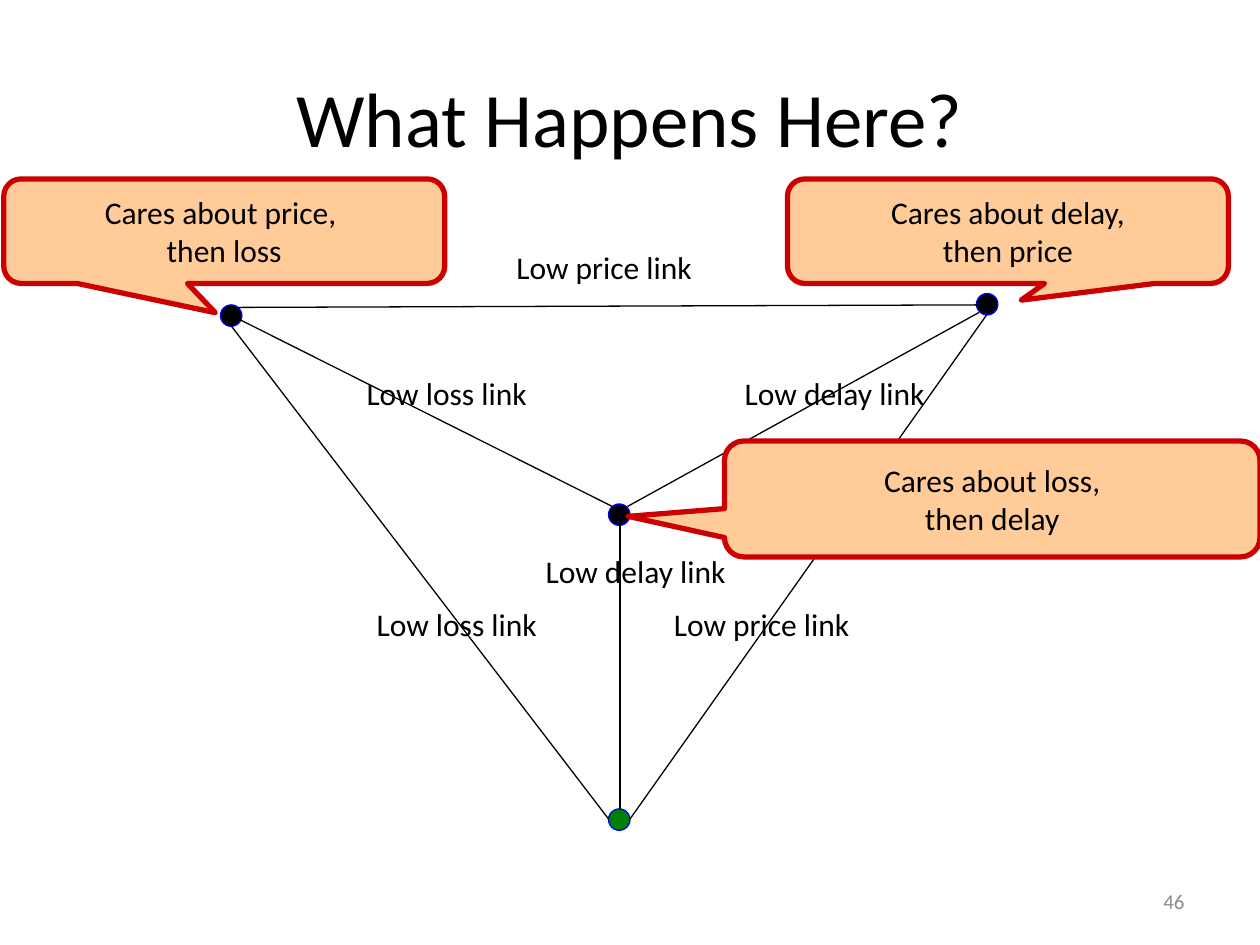
import pptx
import pptx.dml.color
import pptx.enum.shapes
import pptx.enum.text
import pptx.oxml.ns
import pptx.util
from lxml import etree
from pptx.util import Inches

FONT = "Calibri"
NODE_SIZE = 0.17
ALIGN = pptx.enum.text.PP_ALIGN
ANCHOR = pptx.enum.text.MSO_ANCHOR
SHAPE = pptx.enum.shapes.MSO_SHAPE

NODES = [
    (1.75, 2.42, "000000"),
    (4.83, 4, "000000"),
    (7.75, 2.33, "000000"),
    (4.83, 6.42, "008000"),
]
LINKS = [
    (1.83, 2.5, 4.86, 4.02),
    (1.89, 2.44, 7.77, 2.42),
    (4.98, 4.02, 7.77, 2.48),
    (4.92, 4.08, 4.92, 6.42),
    (1.83, 2.58, 4.83, 6.5),
    (7.83, 2.5, 5, 6.5),
]
LINK_LABELS = [
    ("Low price link", 3.17, 1.92),
    ("Low loss link", 2, 4.75),
    ("Low delay link", 5, 2.92),
    ("Low loss link", 1.92, 2.92),
    ("Low delay link", 3.42, 4.33),
    ("Low price link", 4.42, 4.75),
]
CALLOUTS = [
    ("Cares about price, \nthen loss", (0.03, 1.42, 3.5, 0.83), (-0.02, 0.78)),
    ("Cares about delay,\nthen price", (6.25, 1.42, 3.5, 0.83), (0.03, 0.66)),
    ("Cares about loss,\nthen delay", (5.75, 3.5, 4.25, 0.92), (-0.68, 0.15)),
]


def color(value):
    """Return the colour for a hex string."""
    return pptx.dml.color.RGBColor.from_string(value)


def set_text(text_frame, text, size, alignment=ALIGN.CENTER, text_color="000000"):
    """Fill a text frame and format every run."""
    text_frame.text = text
    for paragraph in text_frame.paragraphs:
        paragraph.alignment = alignment
        for run in paragraph.runs:
            run.font.name = FONT
            run.font.size = pptx.util.Pt(size)
            run.font.color.rgb = color(text_color)


def set_title(slide, text):
    """Place and format the title placeholder."""
    title = slide.shapes.title
    title.left, title.top = Inches(0.5), Inches(0.3)
    title.width, title.height = Inches(9), Inches(1.25)
    title.text_frame.vertical_anchor = ANCHOR.MIDDLE
    set_text(title.text_frame, text, 44)


def add_filled_shape(slide, kind, box, fill, line, line_width):
    """Add a preset shape with a solid fill and outline."""
    shape = slide.shapes.add_shape(kind, *map(Inches, box))
    shape.shadow.inherit = False
    shape.fill.solid()
    shape.fill.fore_color.rgb = color(fill)
    shape.line.color.rgb = color(line)
    shape.line.width = pptx.util.Pt(line_width)
    return shape


def add_node(slide, left, top, fill):
    """Add a round network node."""
    box = (left, top, NODE_SIZE, NODE_SIZE)
    add_filled_shape(slide, SHAPE.OVAL, box, fill, "0000FF", 0.75)


def add_link(slide, *ends):
    """Add a thin straight link between two points."""
    straight = pptx.enum.shapes.MSO_CONNECTOR.STRAIGHT
    link = slide.shapes.add_connector(straight, *map(Inches, ends))
    link.line.color.rgb = color("000000")
    link.line.width = pptx.util.Pt(0.75)
    properties = link._element.spPr
    etree.SubElement(properties, pptx.oxml.ns.qn("a:effectLst"))


def add_label(slide, text, box, size=18, **text_format):
    """Add a wrapping text box and return its text frame."""
    text_frame = slide.shapes.add_textbox(*map(Inches, box)).text_frame
    text_frame.word_wrap = True
    set_text(text_frame, text, size, **text_format)
    return text_frame


def add_callout(slide, text, box, pointer):
    """Add a rounded callout with its pointer offset from the centre."""
    callout = add_filled_shape(
        slide, SHAPE.ROUNDED_RECTANGULAR_CALLOUT, box, "FFCC99", "CC0000", 3
    )
    callout.adjustments[0], callout.adjustments[1] = pointer
    callout.text_frame.word_wrap = False
    callout.text_frame.vertical_anchor = ANCHOR.MIDDLE
    set_text(callout.text_frame, text, 18)


def main():
    """Build the slide and save the presentation."""
    presentation = pptx.Presentation()
    presentation.slide_width = Inches(10)
    presentation.slide_height = Inches(7.5)
    slide = presentation.slides.add_slide(presentation.slide_layouts[5])
    set_title(slide, "What Happens Here?")
    for node in NODES:
        add_node(slide, *node)
    for link in LINKS:
        add_link(slide, *link)
    for text, left, top in LINK_LABELS:
        add_label(slide, text, (left, top, 3.25, 0.44))
    for callout in CALLOUTS:
        add_callout(slide, *callout)
    number = add_label(
        slide, "46", (7.17, 6.95, 2.33, 0.4), 12,
        alignment=ALIGN.RIGHT, text_color="8C8C8C",
    )
    number.vertical_anchor = ANCHOR.MIDDLE
    presentation.save("out.pptx")


if __name__ == "__main__":
    main()
